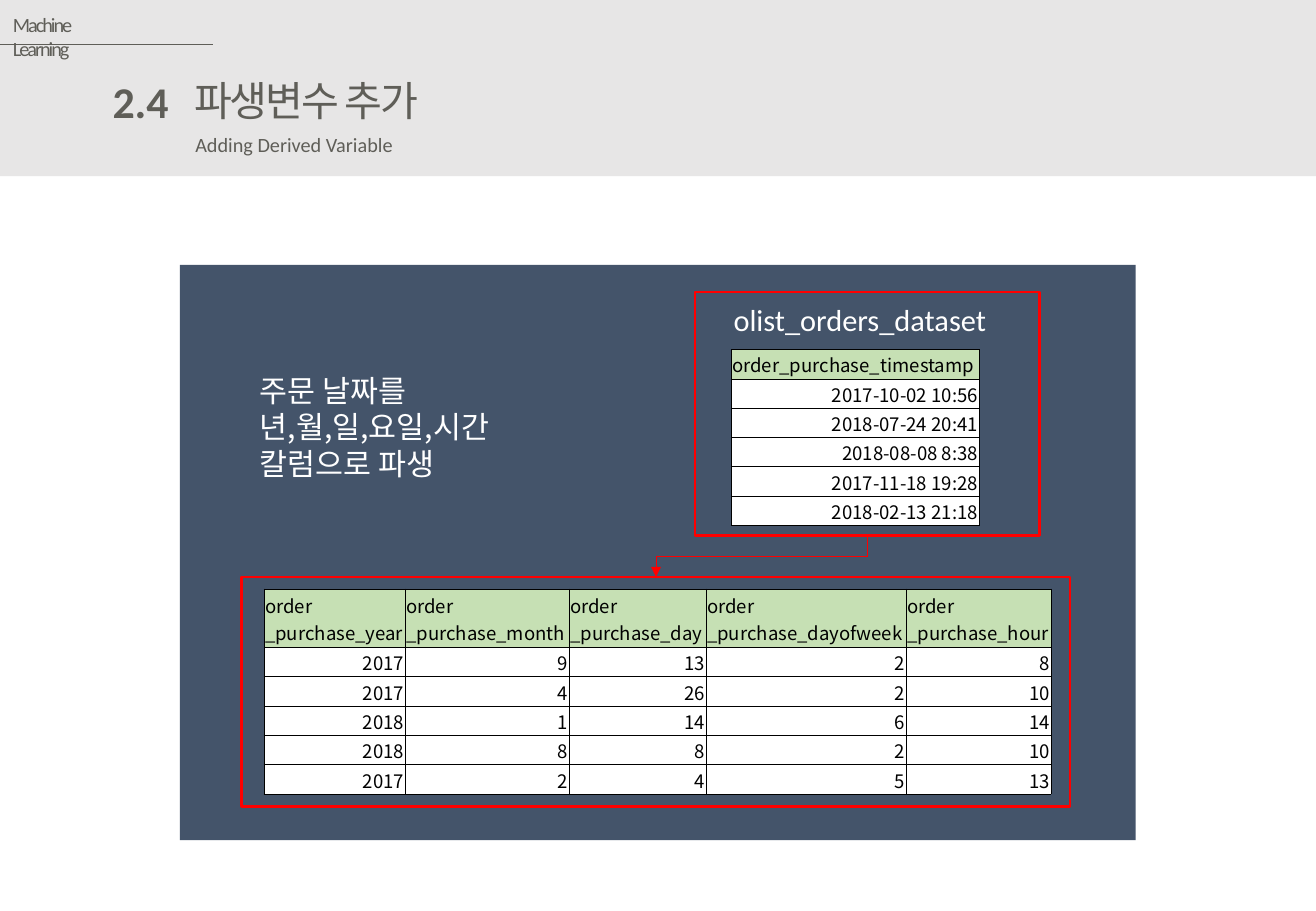
from copy import deepcopy
from dataclasses import dataclass

from lxml.etree import SubElement
from pptx import Presentation
from pptx.dml.color import RGBColor
from pptx.enum.shapes import MSO_CONNECTOR, MSO_SHAPE
from pptx.enum.text import MSO_ANCHOR, MSO_AUTO_SIZE, PP_ALIGN
from pptx.oxml.ns import qn
from pptx.util import Pt


@dataclass(frozen=True)
class Theme:
    band: RGBColor = RGBColor.from_string("E7E6E6")
    title: RGBColor = RGBColor.from_string("5F5E58")
    panel: RGBColor = RGBColor.from_string("44546A")
    red: RGBColor = RGBColor.from_string("FF0000")
    header: RGBColor = RGBColor.from_string("C6E0B4")
    white: RGBColor = RGBColor.from_string("FFFFFF")
    black: RGBColor = RGBColor.from_string("000000")
    latin: str = "Calibri"
    heading: str = "Arial"
    korean: str = "Noto Sans CJK KR"
    small: float = 12
    cell: float = 11
    body: float = 18
    large: float = 24.4
    number: float = 26


theme = Theme()


def write(tf, text, size=theme.small, color=theme.title, font=theme.latin,
          bold=False, align=PP_ALIGN.LEFT, spacing=0):
    """Each newline starts a paragraph, each vertical tab breaks a line."""
    tf.text = text
    for p in tf.paragraphs:
        p.alignment = align
        for r in p.runs:
            r.font.size = Pt(size)
            r.font.bold = bold
            r.font.name = font
            r.font.color.rgb = color
            rPr = r.font._element
            SubElement(rPr, qn("a:ea")).set("typeface", theme.korean)
            if spacing:
                rPr.set("spc", str(round(spacing * 100)))
        for br in p._p.findall(qn("a:br")):
            br.append(deepcopy(p.runs[0].font._element))


def add_grid(s, left, top, widths, heights, rows):
    frame = s.shapes.add_table(len(rows), len(widths), Pt(left), Pt(top),
                               Pt(sum(widths)), Pt(sum(heights)))
    table = frame.table
    table.first_row = table.horz_banding = False
    for column, width in zip(table.columns, widths):
        column.width = Pt(width)
    for i, (row, height) in enumerate(zip(rows, heights)):
        table.rows[i].height = Pt(height)
        for j, value in enumerate(row):
            cell = table.cell(i, j)
            cell.margin_left = cell.margin_top = cell.margin_right = Pt(0.6)
            cell.margin_bottom = 0
            cell.vertical_anchor = MSO_ANCHOR.MIDDLE
            write(cell.text_frame, str(value), size=theme.cell, color=theme.black,
                  font=theme.korean, align=PP_ALIGN.RIGHT if i else PP_ALIGN.LEFT)
            tcPr = cell._tc.get_or_add_tcPr()
            for side in ("lnL", "lnR", "lnT", "lnB"):
                ln = SubElement(tcPr, qn("a:" + side), w=str(Pt(0.5)))
                fill = SubElement(ln, qn("a:solidFill"))
                SubElement(fill, qn("a:srgbClr"), val=str(theme.black))
            cell.fill.solid()
            cell.fill.fore_color.rgb = theme.white if i else theme.header


prs = Presentation()
prs.slide_width, prs.slide_height = Pt(780), Pt(540)
s = prs.slides.add_slide(prs.slide_layouts[6])

# Header band, dark panel and the two red frames
rects = []
for left, top, width, height, fill, line in [
    (0, -0.5, 780, 105, theme.band, None),
    (106.6, 157, 566.6, 341, theme.panel, None),
    (412, 173, 204, 144.5, None, theme.red),
    (143.2, 342, 491.2, 136, None, theme.red),
]:
    sp = s.shapes.add_shape(MSO_SHAPE.RECTANGLE, Pt(left), Pt(top), Pt(width), Pt(height))
    sp.shadow.inherit = False
    if fill:
        sp.fill.solid()
        sp.fill.fore_color.rgb = fill
    else:
        sp.fill.background()
    if line:
        sp.line.color.rgb = line
        sp.line.width = Pt(1.5)
    else:
        sp.line.fill.background()
    rects.append(sp)
source, derived = rects[2:]

# Header rule and the elbow arrow between the frames
rule = s.shapes.add_connector(MSO_CONNECTOR.STRAIGHT, Pt(-0.5), Pt(26.2), Pt(126.5), Pt(26.2))
arrow = s.shapes.add_connector(MSO_CONNECTOR.ELBOW, 0, 0, 0, 0)
arrow.begin_connect(source, 2)
arrow.end_connect(derived, 0)
for cxn, color in ((rule, theme.title), (arrow, theme.red)):
    cxn.line.color.rgb = color
    cxn.line.width = Pt(0.5)
    SubElement(cxn._element.spPr, qn("a:effectLst"))
SubElement(arrow.line._get_or_add_ln(), qn("a:tailEnd"), type="triangle")

# Turn the elbow a quarter so that it leaves downwards
start_x, end_x = source.left + source.width // 2, derived.left + derived.width // 2
start_y, end_y = source.top + source.height, derived.top
run, drop = start_x - end_x, end_y - start_y
xfrm = arrow._element.spPr.find(qn("a:xfrm"))
for flip in ("flipH", "flipV"):
    xfrm.attrib.pop(flip, None)
xfrm.set("rot", "5400000")
arrow.left, arrow.top = (start_x + end_x - drop) // 2, (start_y + end_y - run) // 2
arrow.width, arrow.height = drop, run

# Texts
for left, top, width, height, wrap, anchor, text, style in [
    (0.5, 3.6, 82, 21.6, True, MSO_ANCHOR.TOP, "Machine Learning", dict(spacing=-1.2)),
    (59, 41, 48.2, 39, False, MSO_ANCHOR.TOP, "2.4",
     dict(size=theme.number, bold=True, align=PP_ALIGN.RIGHT)),
    (108, 41, 162, 37, False, MSO_ANCHOR.TOP, "파생변수 추가",
     dict(size=theme.large, font=theme.heading, spacing=-1.2)),
    (108.7, 75, 132.5, 21.6, False, MSO_ANCHOR.TOP, "Adding Derived Variable", {}),
    (146.9, 204.5, 225.4, 97, True, MSO_ANCHOR.MIDDLE,
     "주문 날짜를\n년,월,일,요일,시간\n칼럼으로 파생",
     dict(size=theme.body, color=theme.white, font=theme.korean)),
    (427.7, 175, 187, 29, True, MSO_ANCHOR.TOP, "olist_orders_dataset",
     dict(size=theme.body, color=theme.white)),
]:
    tf = s.shapes.add_textbox(Pt(left), Pt(top), Pt(width), Pt(height)).text_frame
    tf.word_wrap = wrap
    tf.vertical_anchor = anchor
    if anchor == MSO_ANCHOR.TOP:
        tf.auto_size = MSO_AUTO_SIZE.SHAPE_TO_FIT_TEXT
    write(tf, text, **style)

# Source table
timestamps = ["order_purchase_timestamp", "2017-10-02 10:56", "2018-07-24 20:41",
              "2018-08-08 8:38", "2017-11-18 19:28", "2018-02-13 21:18"]
add_grid(s, 433.4, 207.2, [147], [17.4] * 6, [[t] for t in timestamps])

# Derived table
parts = ["year", "month", "day", "dayofweek", "hour"]
add_grid(s, 156.5, 349.2, [83.6, 97.2, 81.2, 118.6, 85.9], [34.6] + [17.4] * 5, [
    [f"order\v_purchase_{part}" for part in parts],
    [2017, 9, 13, 2, 8],
    [2017, 4, 26, 2, 10],
    [2018, 1, 14, 6, 14],
    [2018, 8, 8, 2, 10],
    [2017, 2, 4, 5, 13],
])

prs.save("out.pptx")
